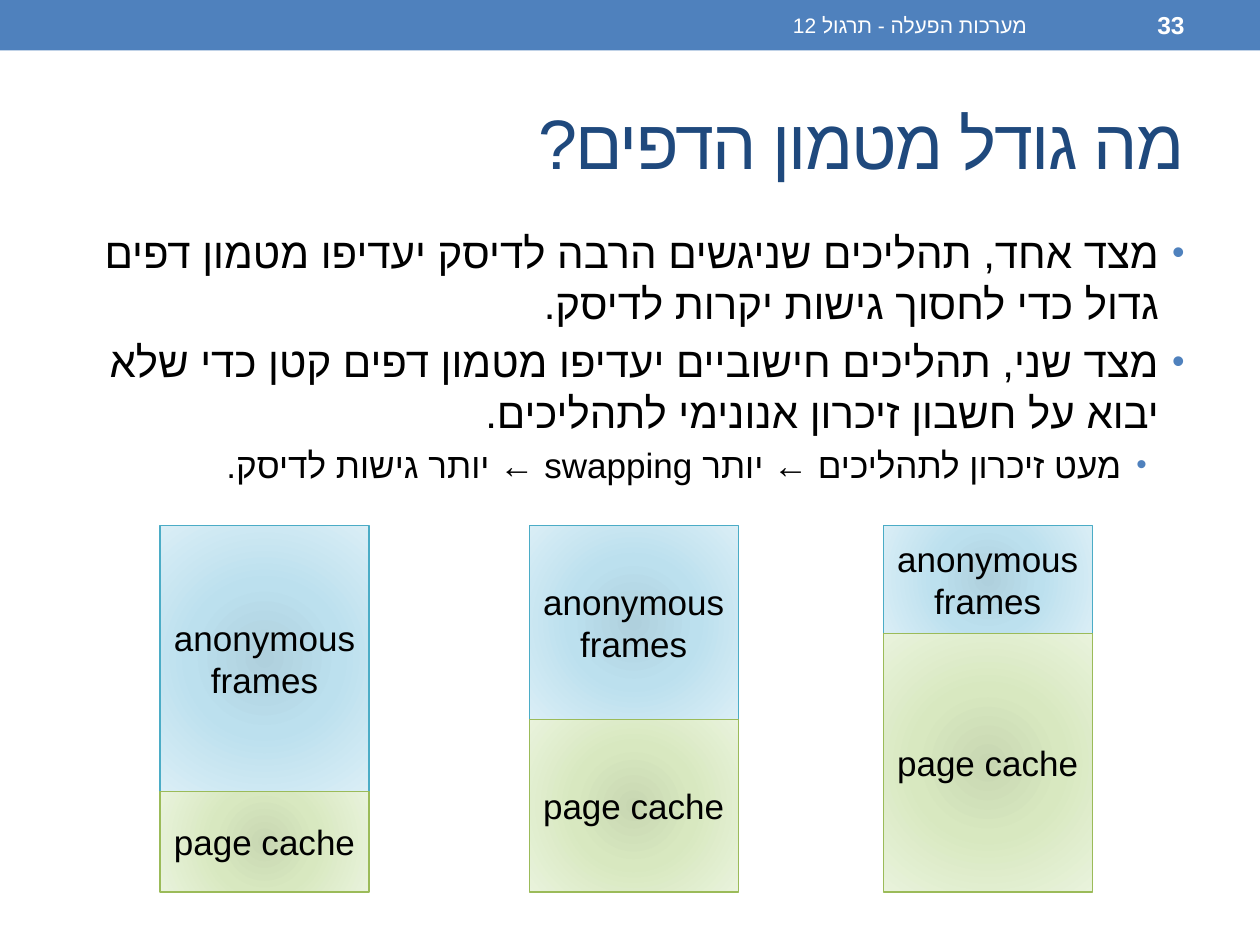
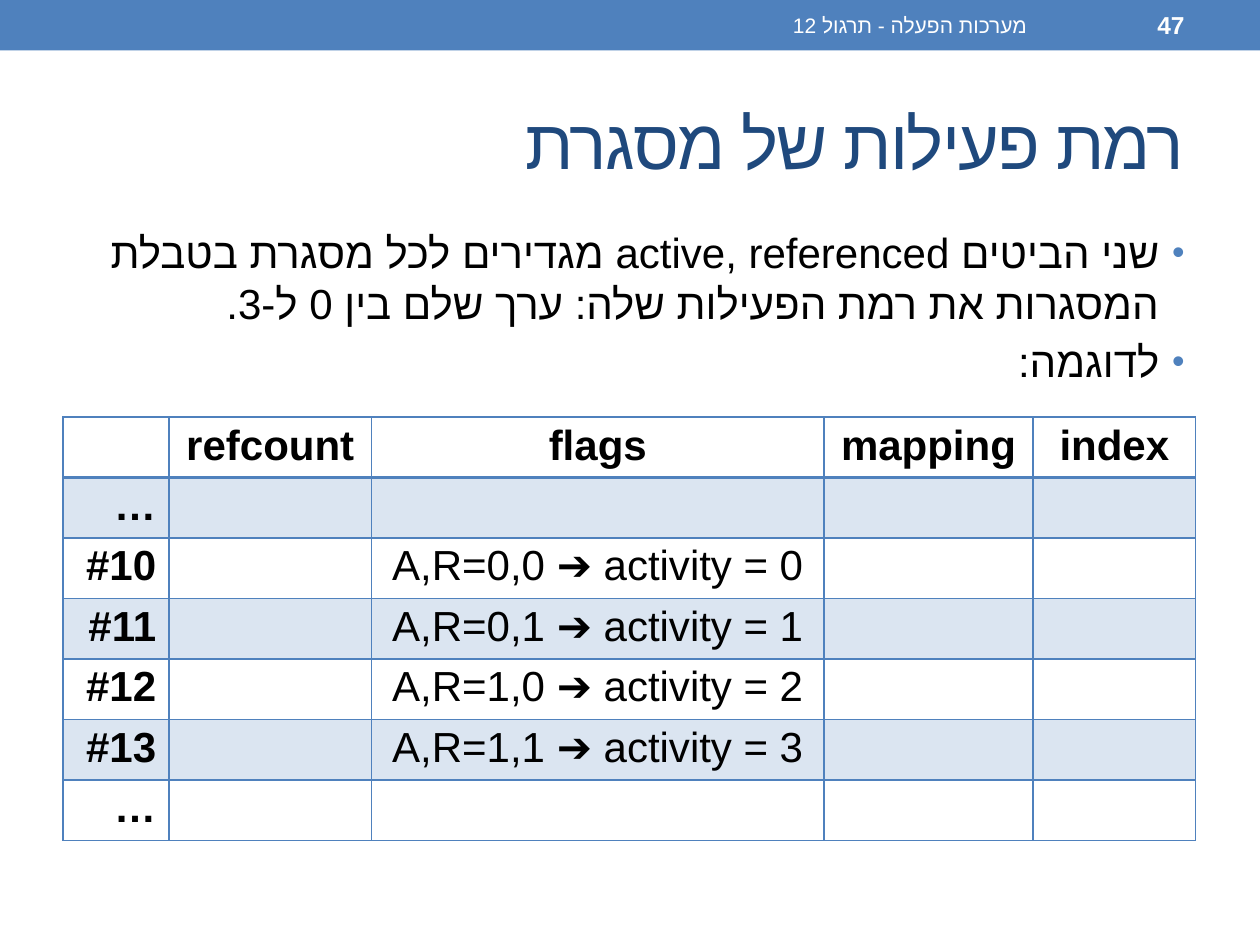
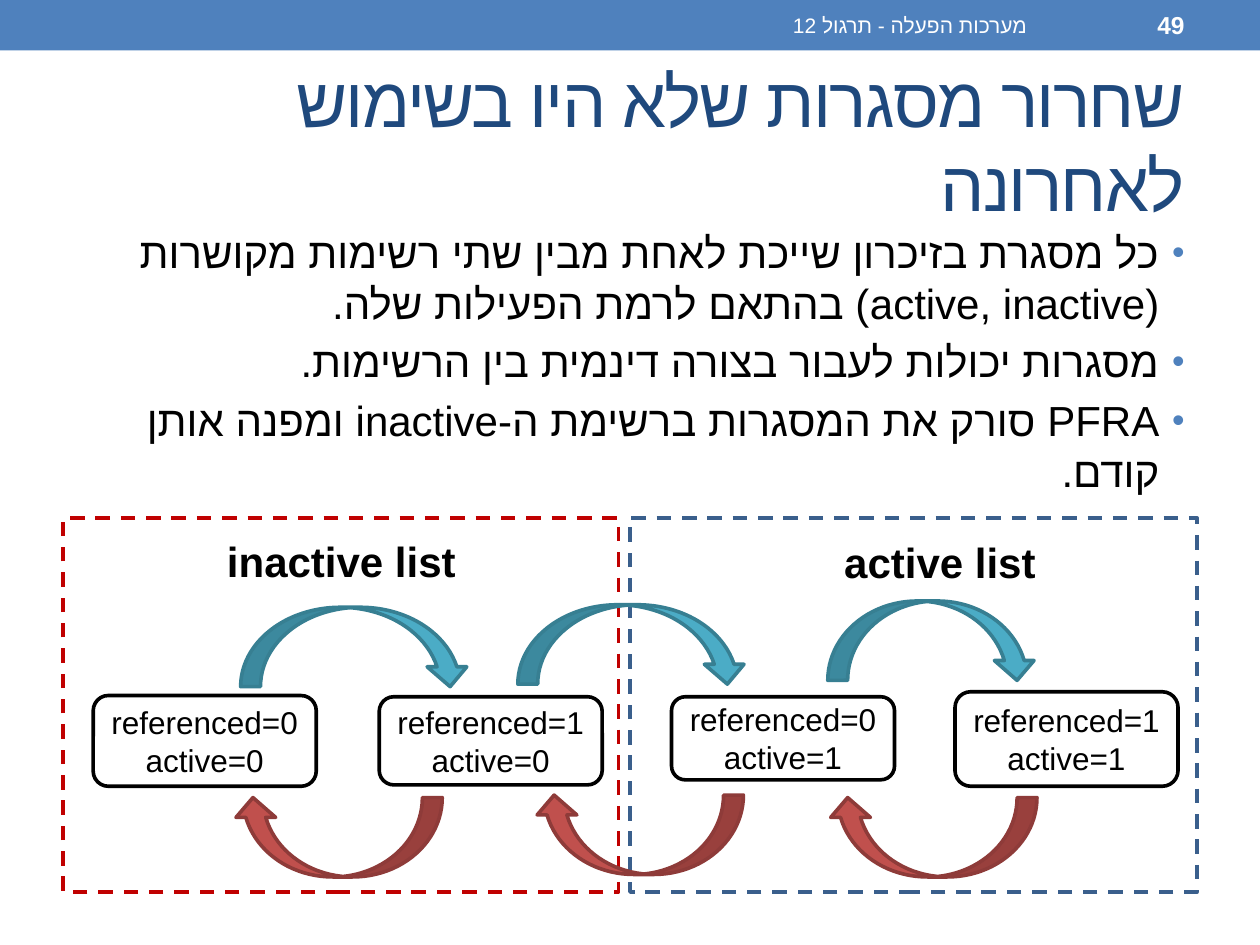
from lxml import etree
from pptx import Presentation
from pptx.dml.color import RGBColor
from pptx.enum.dml import MSO_LINE
from pptx.enum.shapes import MSO_SHAPE as SHAPE
from pptx.enum.text import MSO_ANCHOR as ANCHOR, MSO_AUTO_SIZE, PP_ALIGN as ALIGN
from pptx.oxml import parse_xml
from pptx.oxml.ns import nsdecls, qn
from pptx.util import Inches, Pt

# Shared style
FONT = "Arial"
BLUE = RGBColor(0x4F, 0x81, 0xBD)
NAVY = RGBColor(0x1F, 0x49, 0x7D)
BLACK = RGBColor(0, 0, 0)
WHITE = RGBColor(0xFF, 0xFF, 0xFF)
AQUA = RGBColor(0x4B, 0xAC, 0xC6)
AQUA_EDGE = RGBColor(0x37, 0x7F, 0x92)
GREEN = RGBColor(0x9B, 0xBB, 0x59)
RED = RGBColor(0xC0, 0x50, 0x4D)
RED_EDGE = RGBColor(0x8E, 0x3B, 0x39)
ACTIVE_EDGE = RGBColor(0x3A, 0x5F, 0x8C)
INACTIVE_EDGE = RGBColor(0xC0, 0, 0)
AQUA_STOPS = ((0, "AFD0DD"), (45, "BCE0EE"), (100, "DAEEF6"))
GREEN_STOPS = ((0, "C8D7B2"), (45, "D8E8C0"), (100, "E9F3DC"))
LINE_PT = 2.08
FOOTER = "מערכות הפעלה - תרגול 12"


def sub(parent, tag, **attrs):
    return etree.SubElement(parent, qn(tag), attrs)


def box(left, top, width, height):
    return [Inches(v) for v in (left, top, width, height)]


# Text
def add_text(p, text, size=18, color=BLACK, bold=False, align=ALIGN.CENTER,
             rtl=False, spacing=None):
    p.alignment = align
    if rtl:
        p._p.get_or_add_pPr().set("rtl", "1")
    r = p.add_run()
    r.text = text
    r.font.size, r.font.bold = Pt(size), bold
    r.font.color.rgb = color
    r.font.name = FONT
    rPr = r._r.get_or_add_rPr()
    sub(rPr, "a:cs", typeface=FONT)
    if spacing is not None:
        rPr.set("spc", str(spacing * 100))


def add_lines(tf, lines, **fmt):
    for i, line in enumerate(lines):
        p = tf.add_paragraph() if i else tf.paragraphs[0]
        add_text(p, line, **fmt)


def add_label(slide, text, at, anchor=ANCHOR.TOP, **fmt):
    tf = slide.shapes.add_textbox(*box(*at)).text_frame
    tf.word_wrap, tf.vertical_anchor = True, anchor
    add_text(tf.paragraphs[0], text, **fmt)


def add_bullets(slide, items):
    """Right-to-left list of (level, text) items."""
    tf = slide.shapes.add_textbox(*box(0.5, 1.75, 9, 5.33)).text_frame
    tf.word_wrap = True
    for i, (level, text) in enumerate(items):
        p = tf.add_paragraph() if i else tf.paragraphs[0]
        size = 20 if level else 24
        p.level = level
        if i:
            p.space_before = Pt(0.2 * size)
        pPr = p._p.get_or_add_pPr()
        pPr.set("marL", str(Inches(0.5 if level else 0.2)))
        pPr.set("indent", str(Inches(-0.2)))
        sub(sub(pPr, "a:buClr"), "a:srgbClr", val=str(BLUE))
        sub(pPr, "a:buSzPct", val="85000")
        sub(pPr, "a:buFont", typeface=FONT)
        sub(pPr, "a:buChar", char="•")
        add_text(p, text, size=size, align=ALIGN.RIGHT, rtl=True)


# Shapes
def add_box(slide, kind, at, fill=None, line=None, width=LINE_PT, dash=None):
    sp = slide.shapes.add_shape(kind, *box(*at))
    sp.shadow.inherit = False
    if fill is None:
        sp.fill.background()
    else:
        sp.fill.solid()
        sp.fill.fore_color.rgb = fill
    if line is None:
        sp.line.fill.background()
    else:
        sp.line.color.rgb = line
        sp.line.width = Pt(width)
        if dash:
            sp.line.dash_style = dash
    return sp


def set_radial_fill(sp, stops):
    gs = "".join(f'<a:gs pos="{pos * 1000}"><a:srgbClr val="{color}"/></a:gs>'
                 for pos, color in stops)
    grad = parse_xml(
        f'<a:gradFill {nsdecls("a")} rotWithShape="1"><a:gsLst>{gs}</a:gsLst>'
        '<a:path path="circle"><a:fillToRect l="100000" t="100000" '
        'r="100000" b="100000"/></a:path></a:gradFill>')
    spPr = sp._element.spPr
    spPr.replace(spPr.find(qn("a:noFill")), grad)


def add_memory_part(slide, text, left, top, bottom, stops, edge):
    sp = add_box(slide, SHAPE.RECTANGLE, (left, top, 1.66, bottom - top),
                 line=edge, width=0.75)
    set_radial_fill(sp, stops)
    sp.text_frame.vertical_anchor = ANCHOR.MIDDLE
    add_text(sp.text_frame.paragraphs[0], text, size=20)


def add_state(slide, referenced, active, left, top, height):
    sp = add_box(slide, SHAPE.ROUNDED_RECTANGLE, (left, top, 1.77, height),
                 WHITE, BLACK)
    tf = sp.text_frame
    tf.word_wrap, tf.vertical_anchor = False, ANCHOR.MIDDLE
    add_lines(tf, [f"referenced={referenced}", f"active={active}"])


def add_arrow(slide, left, top, width, back=False):
    fill, edge = (RED, RED_EDGE) if back else (AQUA, AQUA_EDGE)
    sp = add_box(slide, SHAPE.CURVED_DOWN_ARROW, (left, top, width, 0.63),
                 fill, edge)
    sp.rotation = 180 if back else 0


# Table
def set_borders(cell, header):
    tcPr = cell._tc.get_or_add_tcPr()
    for i, side in enumerate("LRTB"):
        width = 2 if header and side == "B" else 1
        ln = sub(tcPr, f"a:ln{side}", w=str(Pt(width)))
        sub(sub(ln, "a:solidFill"), "a:srgbClr", val=str(BLUE))


def set_cell_fill(cell, banded):
    if not banded:
        cell.fill.background()
        return
    cell.fill.solid()
    cell.fill.fore_color.rgb = BLUE
    color = cell._tc.tcPr.find(qn("a:solidFill"))[0]
    sub(color, "a:alpha", val="20000")


def add_frame_table(slide, rows, widths):
    height = 0.47
    table = slide.shapes.add_table(
        len(rows), len(widths),
        *box(0.5, 3.31, sum(widths), height * len(rows))).table
    for col, width in zip(table.columns, widths):
        col.width = Inches(width)
    for i, texts in enumerate(rows):
        table.rows[i].height = Inches(height)
        for j, text in enumerate(texts):
            cell = table.cell(i, j)
            cell.margin_top = cell.margin_bottom = Inches(0.04)
            set_borders(cell, header=i == 0)
            set_cell_fill(cell, banded=i % 2 == 1)
            if text:
                add_text(cell.text_frame.paragraphs[0], text, size=24,
                         bold=i == 0 or j == 0,
                         align=ALIGN.CENTER if j else ALIGN.RIGHT)


# Slide frame: band, footer, number, title and bullets
def new_slide(prs, number, title, bullets):
    slide = prs.slides.add_slide(prs.slide_layouts[5])
    add_box(slide, SHAPE.RECTANGLE, (0, 0, 10, 0.4), BLUE)
    right = dict(align=ALIGN.RIGHT, rtl=True)
    for text, at, size, bold in ((FOOTER, (3.75, 0.02, 4.5, 0.36), 12, False),
                                 (number, (8.33, 0.02, 1.17, 0.36), 14, True)):
        add_label(slide, text, at, ANCHOR.MIDDLE, size=size, bold=bold,
                  color=WHITE, **right)
    sp = slide.shapes.title
    sp.left, sp.top, sp.width, sp.height = box(0.5, 0.58, 9, 1.08)
    tf = sp.text_frame
    tf.auto_size, tf.word_wrap = MSO_AUTO_SIZE.NONE, True
    tf.vertical_anchor = ANCHOR.MIDDLE
    add_text(tf.paragraphs[0], title, size=40, color=NAVY, spacing=-1, **right)
    add_bullets(slide, bullets)
    return slide


def cache_size_slide(prs):
    slide = new_slide(prs, "33", "מה גודל מטמון הדפים?", [
        (0, "מצד אחד, תהליכים שניגשים הרבה לדיסק יעדיפו מטמון דפים גדול "
            "כדי לחסוך גישות יקרות לדיסק."),
        (0, "מצד שני, תהליכים חישוביים יעדיפו מטמון דפים קטן כדי שלא יבוא "
            "על חשבון זיכרון אנונימי לתהליכים."),
        (1, "מעט זיכרון לתהליכים ← יותר swapping ← יותר גישות לדיסק."),
    ])
    for left, split in ((1.27, 6.28), (4.2, 5.71), (7.01, 5.03)):
        add_memory_part(slide, "anonymous frames", left, 4.17, split,
                        AQUA_STOPS, AQUA)
        add_memory_part(slide, "page cache", left, split, 7.08,
                        GREEN_STOPS, GREEN)


def activity_slide(prs):
    slide = new_slide(prs, "47", "רמת פעילות של מסגרת", [
        (0, "שני הביטים active, referenced מגדירים לכל מסגרת בטבלת המסגרות "
            "את רמת הפעילות שלה: ערך שלם בין 0 ל-3."),
        (0, "לדוגמה:"),
    ])
    gap = ["…", "", "", "", ""]
    frames = [[f"#{10 + n}", "", f"A,R={n // 2},{n % 2} ➔ activity = {n}", "", ""]
              for n in range(4)]
    header = ["", "refcount", "flags", "mapping", "index"]
    add_frame_table(slide, [header, gap, *frames, gap],
                    [0.84, 1.61, 3.59, 1.66, 1.29])


def lists_slide(prs):
    slide = new_slide(prs, "49", "שחרור מסגרות שלא היו בשימוש לאחרונה", [
        (0, "כל מסגרת בזיכרון שייכת לאחת מבין שתי רשימות מקושרות "
            "(active, inactive) בהתאם לרמת הפעילות שלה."),
        (0, "מסגרות יכולות לעבור בצורה דינמית בין הרשימות."),
        (0, "PFRA סורק את המסגרות ברשימת ה-inactive ומפנה אותן קודם."),
    ])
    # Frame states
    for state in ((0, 0, 0.74, 5.52, 0.72), (1, 0, 3.01, 5.53, 0.7),
                  (0, 1, 5.33, 5.53, 0.66), (1, 1, 7.58, 5.49, 0.75)):
        add_state(slide, *state)
    # The two lists
    for text, left, width, edge, label_at in (
            ("active list", 5, 4.5, ACTIVE_EDGE, (6.21, 4.21, 2.5, 0.5)),
            ("inactive list", 0.5, 4.41, INACTIVE_EDGE, (1.46, 4.2, 2.5, 0.5))):
        add_box(slide, SHAPE.RECTANGLE, (left, 4.11, width, 2.97), line=edge,
                dash=MSO_LINE.DASH)
        add_label(slide, text, label_at, size=24, bold=True)
    # Moves up and down between states
    for left, top, width in ((1.91, 4.82, 1.82), (4.11, 4.8, 1.82),
                             (6.57, 4.77, 1.66)):
        add_arrow(slide, left, top, width)
    for left, top in ((1.85, 6.33), (4.24, 6.31), (6.57, 6.33)):
        add_arrow(slide, left, top, 1.66, back=True)


def main():
    prs = Presentation()
    prs.slide_width, prs.slide_height = Inches(10), Inches(7.5)
    cache_size_slide(prs)
    activity_slide(prs)
    lists_slide(prs)
    prs.save("out.pptx")


if __name__ == "__main__":
    main()
